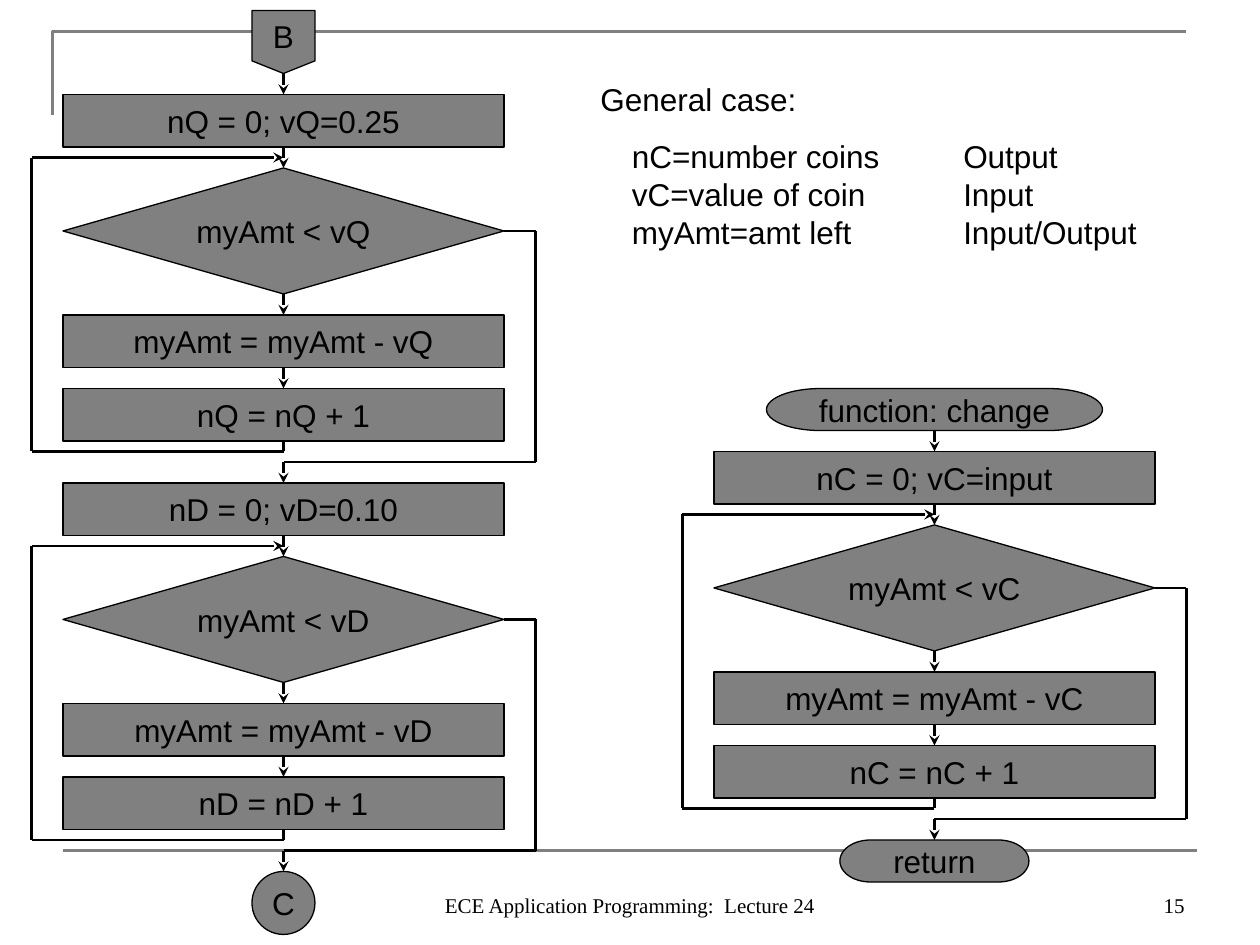
from typing import NamedTuple

from lxml import etree
from pptx import Presentation
from pptx.dml.color import RGBColor
from pptx.enum.shapes import MSO_CONNECTOR, MSO_SHAPE
from pptx.enum.text import MSO_ANCHOR, PP_ALIGN
from pptx.oxml.ns import qn
from pptx.util import Inches, Pt

GRAY = RGBColor(0x80, 0x80, 0x80)
BLACK = RGBColor(0, 0, 0)
PROCESS = MSO_SHAPE.FLOWCHART_PROCESS
DECISION = MSO_SHAPE.FLOWCHART_DECISION
TERMINATOR = MSO_SHAPE.FLOWCHART_TERMINATOR
OFFPAGE = MSO_SHAPE.FLOWCHART_OFFPAGE_CONNECTOR
CIRCLE = MSO_SHAPE.FLOWCHART_CONNECTOR
STRAIGHT = MSO_CONNECTOR.STRAIGHT
LEFT, CENTER, RIGHT = PP_ALIGN.LEFT, PP_ALIGN.CENTER, PP_ALIGN.RIGHT
TOP, MIDDLE, BOTTOM = MSO_ANCHOR.TOP, MSO_ANCHOR.MIDDLE, MSO_ANCHOR.BOTTOM

# Grid: 120 columns by 90 rows
COLS, ROWS = 120, 90
LEFT_AXIS, RIGHT_AXIS = 27, 89
BOX_W, BOX_H, DIAMOND_H = 42, 5, 12
GAP = 2
LOOP_REACH = 24

prs = Presentation()
prs.slide_width, prs.slide_height = Inches(10), Inches(7.5)
slide = prs.slides.add_slide(prs.slide_layouts[6])


class Node(NamedTuple):
    kind: MSO_SHAPE
    text: str
    axis: float
    top: float
    width: float
    height: float


class Loop(NamedTuple):
    axis: float
    top: float
    coin: str
    value: str


def col(n: float) -> int:
    return round(prs.slide_width * n / COLS)


def row(n: float) -> int:
    return round(prs.slide_height * n / ROWS)


def add_run(p, text: str, size: float, font: str) -> None:
    r = p.add_run()
    r.text = text
    r.font.size, r.font.name = Pt(size), font
    r.font.color.rgb = BLACK


def add_node(node: Node) -> None:
    sp = slide.shapes.add_shape(node.kind, col(node.axis - node.width / 2),
                                row(node.top), col(node.width), row(node.height))
    sp.shadow.inherit = False
    sp.fill.solid()
    sp.fill.fore_color.rgb = GRAY
    sp.line.color.rgb = BLACK
    sp.line.width = Pt(0.74)
    tf = sp.text_frame
    tf.word_wrap = False
    tf.vertical_anchor = MIDDLE
    p = tf.paragraphs[0]
    p.alignment = CENTER
    add_run(p, node.text, 18, "Arial")


def add_line(start: tuple, end: tuple, arrow: bool = False,
             color: RGBColor = BLACK, width: float = 1.25) -> None:
    cx = slide.shapes.add_connector(STRAIGHT, col(start[0]), row(start[1]),
                                    col(end[0]), row(end[1]))
    cx.line.color.rgb = color
    cx.line.width = Pt(width)
    if arrow:
        etree.SubElement(cx.line._get_or_add_ln(), qn("a:tailEnd"), type="stealth")
    etree.SubElement(cx._element.spPr, qn("a:effectLst"))


def add_route(*points: tuple, arrow: bool = True) -> None:
    """Chain straight lines through the points, with the arrow on the last."""
    legs = list(zip(points, points[1:]))
    for i, (start, end) in enumerate(legs):
        add_line(start, end, arrow and i == len(legs) - 1)


def add_loop(loop: Loop) -> None:
    x, coin = loop.axis, loop.coin
    steps = [
        (PROCESS, f"n{coin} = 0; v{coin}={loop.value}", BOX_H),
        (DECISION, f"myAmt < v{coin}", DIAMOND_H),
        (PROCESS, f"myAmt = myAmt - v{coin}", BOX_H),
        (PROCESS, f"n{coin} = n{coin} + 1", BOX_H),
    ]
    y = loop.top
    tops = []
    for kind, text, height in steps:
        if tops:
            add_route((x, y - GAP), (x, y))
        add_node(Node(kind, text, x, y, BOX_W, height))
        tops.append(y)
        y += height + GAP
    bottom = y - GAP
    test = tops[1]
    middle = test + DIAMOND_H / 2
    # Back edge on the left, exit edge on the right
    add_route((x, bottom), (x, bottom + 1), (x - LOOP_REACH, bottom + 1),
              (x - LOOP_REACH, test - 1), (x, test - 1))
    add_route((x + BOX_W / 2, middle), (x + LOOP_REACH, middle),
              (x + LOOP_REACH, bottom + 2), (x, bottom + 2), (x, bottom + 4))


def add_text_box(left: float, top: float, width: float, height: float,
                 anchor: MSO_ANCHOR):
    tb = slide.shapes.add_textbox(col(left), row(top), col(width), row(height))
    tf = tb.text_frame
    tf.word_wrap = True
    tf.vertical_anchor = anchor
    return tf


def add_footer(text: str, left: float, width: float, align: PP_ALIGN) -> None:
    p = add_text_box(left, 82, width, 6, BOTTOM).paragraphs[0]
    p.alignment = align
    add_run(p, text, 12, "Times New Roman")


# Frame rules
corner = slide.shapes.build_freeform(col(5), row(11), scale=1.0)
corner.add_line_segments([(col(5), row(3)), (col(113), row(3))], close=False)
sp = corner.convert_to_shape()
sp.shadow.inherit = False
sp.fill.background()
sp.line.color.rgb = GRAY
sp.line.width = Pt(1.5)
add_line((6, 81), (114, 81), color=GRAY, width=1.5)

# Flowcharts
LOOPS = [
    Loop(LEFT_AXIS, 9, "Q", "0.25"),
    Loop(LEFT_AXIS, 46, "D", "0.10"),
    Loop(RIGHT_AXIS, 43, "C", "input"),
]
ENDS = [
    Node(OFFPAGE, "B", LEFT_AXIS, 1, 6, 6),
    Node(CIRCLE, "C", LEFT_AXIS, 83, 6, 6),
    Node(TERMINATOR, "function: change", RIGHT_AXIS, 37, 32, 4),
    Node(TERMINATOR, "return", RIGHT_AXIS, 80, 18, 4),
]
for loop in LOOPS:
    add_loop(loop)
for node in ENDS:
    add_node(node)
for x, y in [(LEFT_AXIS, 7), (RIGHT_AXIS, 41)]:
    add_route((x, y), (x, y + GAP))

# General case
PARAMETERS = [
    ("nC=number coins", "Output"),
    ("vC=value of coin", "Input"),
    ("myAmt=amt left", "Input/Output"),
]
tf = add_text_box(56, 7, 58, 17.5, TOP)
p = tf.paragraphs[0]
p.alignment = LEFT
p.space_before = Pt(11.2)
add_run(p, "General case:", 18, "Arial")
p = tf.add_paragraph()
p.space_before = Pt(11.2)
tabs = etree.SubElement(p._p.get_or_add_pPr(), qn("a:tabLst"))
for stop in (0.25, 2.88):
    etree.SubElement(tabs, qn("a:tab"), pos=str(Inches(stop)), algn="l")
for i, (name, role) in enumerate(PARAMETERS):
    if i:
        p.add_line_break()
    add_run(p, f"\t{name}\t{role}", 18, "Arial")

# Footer
add_footer("15", 86, 28, RIGHT)
add_footer("ECE Application Programming:  Lecture 24", 41, 38, CENTER)

prs.save("out.pptx")
